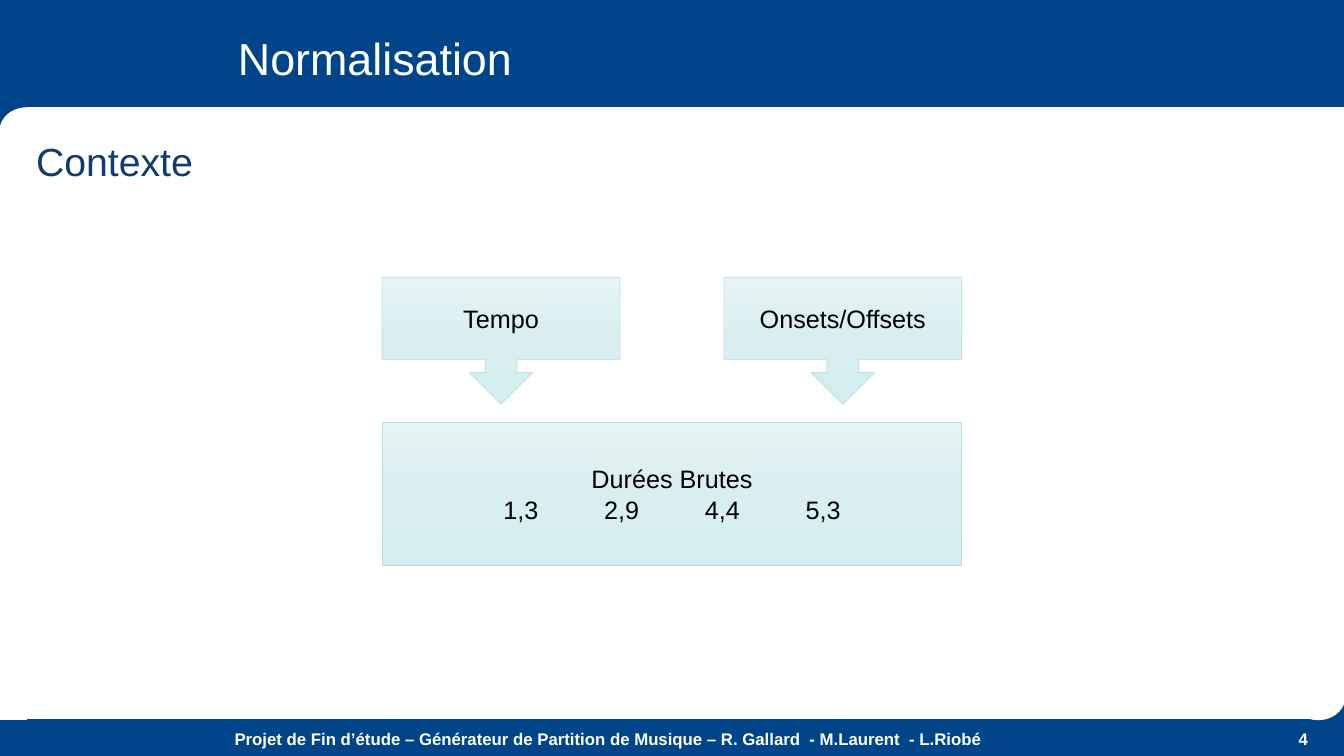
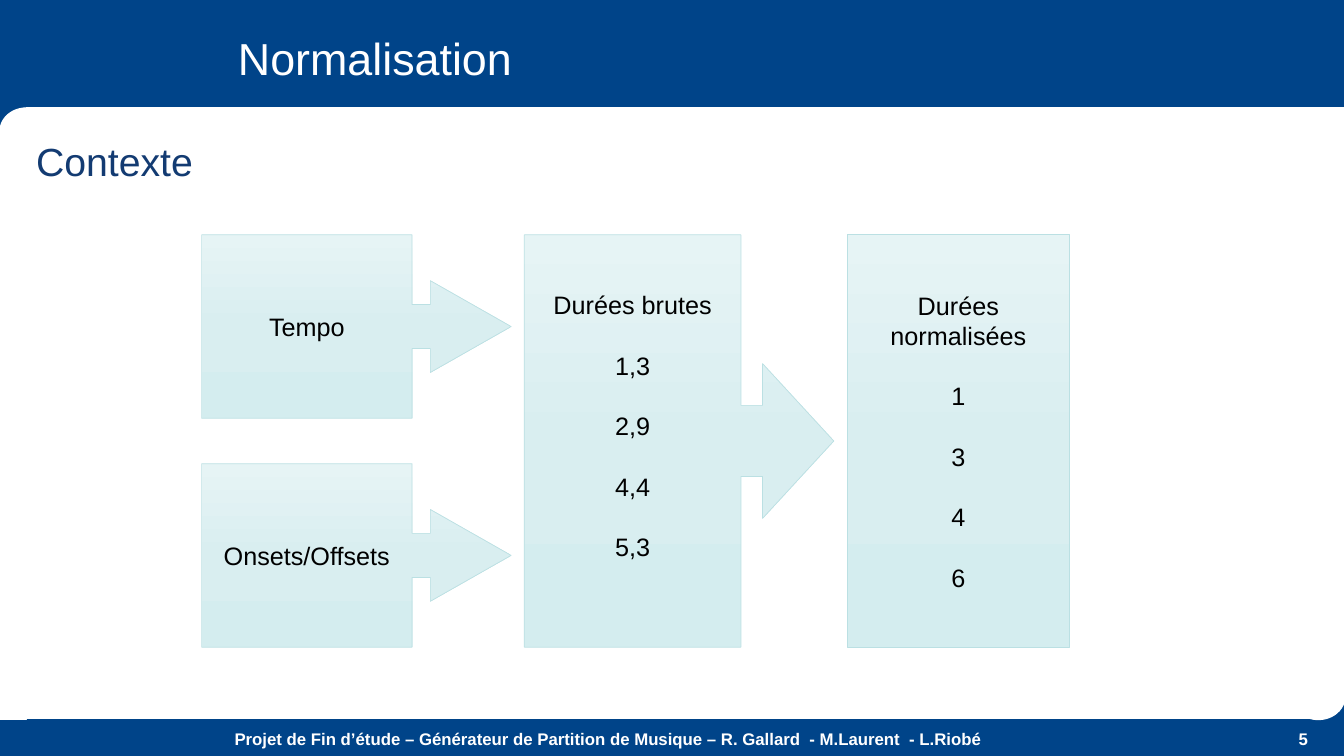
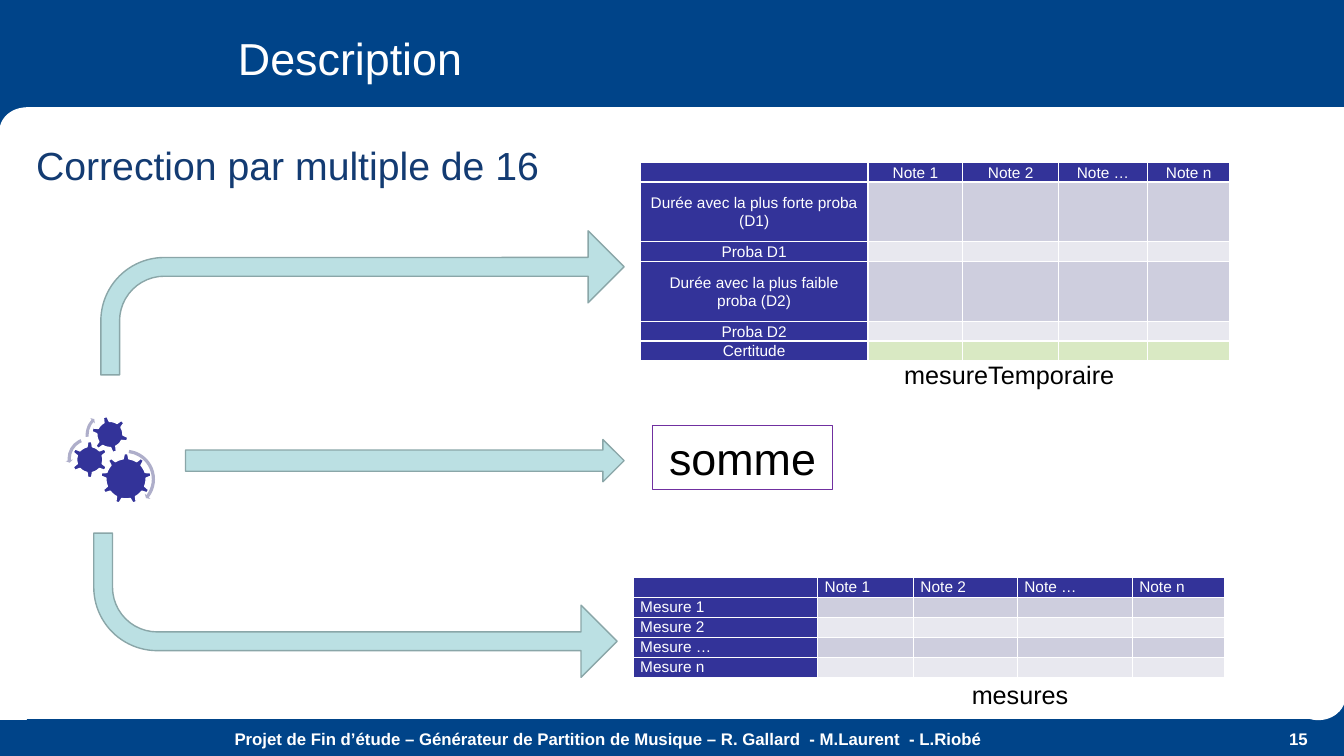
from dataclasses import dataclass
from math import cos, radians, sin

from pptx import Presentation
from pptx.dml.color import RGBColor
from pptx.enum.shapes import MSO_SHAPE
from pptx.enum.text import MSO_ANCHOR, PP_ALIGN
from pptx.oxml import parse_xml
from pptx.oxml.ns import nsdecls, qn
from pptx.util import Inches, Pt


@dataclass(frozen=True)
class Theme:
    font: str = "Arial"
    # Colours
    band: str = "004489"
    white: str = "FFFFFF"
    black: str = "000000"
    heading: str = "133B72"
    pale: str = "BBE0E3"
    arrow_edge: str = "8AA6A8"
    gradient: tuple = ((0, "E6F4F5"), (50, "D9EEF0"), (100, "D4EDEF"))
    indigo: str = "333399"
    lilac: str = "AEAECA"
    purple: str = "7030A0"
    row_dark: str = "CECEDE"
    row_light: str = "E8E8EF"
    row_green: str = "D9E9C3"
    # Type sizes
    title_size: int = 32
    heading_size: int = 28
    text_size: int = 18
    footer_size: int = 12
    table_size: int = 11


THEME = Theme()
FOOTER = ("Projet de Fin d’étude – Générateur de Partition de Musique"
          " – R. Gallard  - M.Laurent  - L.Riobé")
BLANK_LINE = Pt(21.6)
TAB_WIDTH = Inches(1)
NOTES = ["Note 1", "Note 2", "Note …", "Note n"]


# Formatting helpers
def set_all(target, formats):
    for name, value in formats.items():
        setattr(target, name, value)


def write(frame, lines, size, color, align=PP_ALIGN.LEFT, bold=False, **spacing):
    frame.word_wrap = True
    for index, line in enumerate(lines):
        para = frame.add_paragraph() if index else frame.paragraphs[0]
        para.alignment = align
        if "\t" in line:
            para._p.get_or_add_pPr().set("defTabSz", str(TAB_WIDTH))
        if index:
            set_all(para, spacing)
        span = para.add_run()
        span.text = line
        set_all(span.font, {"name": THEME.font, "size": Pt(size), "bold": bold})
        span.font.color.rgb = RGBColor.from_string(color)


def paint(shape, fill=None, line=None, width=1):
    shape.shadow.inherit = False
    for part, color in ((shape.fill, fill), (shape.line.fill, line)):
        if color:
            part.solid()
            part.fore_color.rgb = RGBColor.from_string(color)
        else:
            part.background()
    if line:
        shape.line.width = Pt(width)


def paint_gradient(shape):
    paint(shape, line=THEME.pale, width=0.5)
    stops = "".join(
        f'<a:gs pos="{place * 1000}"><a:srgbClr val="{color}"/></a:gs>'
        for place, color in THEME.gradient)
    gradient = parse_xml(
        f'<a:gradFill {nsdecls("a")} rotWithShape="1"><a:gsLst>{stops}</a:gsLst>'
        '<a:lin ang="5400000" scaled="0"/></a:gradFill>')
    properties = shape.element.spPr
    properties.replace(properties.find(qn("a:noFill")), gradient)


# Element helpers
def add_shape(slide, kind, place, adjust=()):
    shape = slide.shapes.add_shape(kind, *map(Inches, place))
    for index, value in enumerate(adjust):
        shape.adjustments[index] = value
    return shape


def add_text(slide, place, text, size=THEME.text_size, color=THEME.black, **formats):
    box = slide.shapes.add_textbox(*map(Inches, place))
    write(box.text_frame, [text], size, color, **formats)


def add_step(slide, kind, place, lines, adjust=(), **spacing):
    step = add_shape(slide, kind, place, adjust)
    paint_gradient(step)
    step.text_frame.vertical_anchor = MSO_ANCHOR.MIDDLE
    write(step.text_frame, lines, THEME.text_size, THEME.black, PP_ALIGN.CENTER,
          **spacing)
    return step


def add_arrow(slide, kind, place, adjust=(), flipped=False):
    arrow = add_shape(slide, kind, place, adjust)
    paint(arrow, THEME.pale, THEME.arrow_edge)
    if flipped:
        arrow.element.spPr.find(qn("a:xfrm")).set("flipV", "1")


def add_gear(slide, center, body, tip, teeth, turn=0):
    """Toothed wheel: each tooth is followed by an arc of the body."""
    def point(radius, angle):
        angle = radians(angle)
        return (Inches(center[0] + radius * sin(angle)),
                Inches(center[1] - radius * cos(angle)))

    pitch = 360 / teeth
    root = 0.2 * pitch
    outline = []
    for tooth in range(teeth):
        angle = turn + tooth * pitch
        outline += [point(body, angle - root), point(tip, angle - root / 2),
                    point(tip, angle + root / 2)]
        outline += [point(body, angle + root + pitch * step / 5) for step in range(3)]
    builder = slide.shapes.build_freeform(*outline[0])
    builder.add_line_segments(outline[1:], close=True)
    paint(builder.convert_to_shape(), THEME.indigo, THEME.white)


def add_borders(cell):
    properties = cell._tc.get_or_add_tcPr()
    for index, side in enumerate("LRTB"):
        properties.insert(index, parse_xml(
            f'<a:ln{side} {nsdecls("a")} w="{Pt(1)}"><a:solidFill>'
            f'<a:srgbClr val="{THEME.white}"/></a:solidFill></a:ln{side}>'))


def add_grid(slide, corner, widths, heights, labels, fills, align, anchor, inset):
    """Table with header texts in its first row and column only."""
    size = (sum(widths), sum(heights))
    table = slide.shapes.add_table(
        len(heights), len(widths), *map(Inches, corner + size)).table
    set_all(table, {"first_row": False, "horz_banding": False})
    for column, width in zip(table.columns, widths):
        column.width = Inches(width)
    for row, height in zip(table.rows, heights):
        row.height = Inches(height)
    for r in range(len(heights)):
        for c in range(len(widths)):
            cell = table.cell(r, c)
            set_all(cell, {
                "margin_left": Inches(inset), "margin_right": Inches(inset),
                "margin_top": 0, "margin_bottom": 0, "vertical_anchor": anchor})
            head = r == 0 or c == 0
            cell.fill.solid()
            cell.fill.fore_color.rgb = RGBColor.from_string(
                THEME.indigo if head else fills[r - 1])
            add_borders(cell)
            para = cell.text_frame.paragraphs[0]
            para.line_spacing = 1.07
            if head and r + c:
                label = NOTES[c - 1] if r == 0 else labels[r - 1]
                write(cell.text_frame, [label], THEME.table_size, THEME.white, align)
            else:
                para._p.get_or_add_endParaRPr().set("sz", str(THEME.table_size * 100))


# Shared slide: panel, title, heading, footer and number
def add_panel(slide):
    """White panel, rounded at its top left and bottom right corners."""
    bar, dot = MSO_SHAPE.RECTANGLE, MSO_SHAPE.OVAL
    for kind, place in (
            (bar, (0, 6.95, 13.07, 0.18)), (dot, (0, 1.07, 0.53, 0.46)),
            (dot, (12.81, 6.68, 0.53, 0.46)), (bar, (0.26, 1.07, 13.07, 0.18)),
            (bar, (0, 1.26, 0.26, 5.88)), (bar, (13.07, 1.07, 0.26, 5.88)),
            (bar, (0.26, 1.26, 12.81, 5.69))):
        paint(add_shape(slide, kind, place), THEME.white, THEME.white, 0.75)


def new_slide(deck, title, heading, number, heading_top=1.31):
    slide = deck.slides.add_slide(deck.slide_layouts[5])
    add_panel(slide)
    name = slide.shapes.title
    set_all(name, {"left": Inches(2.26), "top": Inches(0.3),
                   "width": Inches(10.41), "height": Inches(0.54)})
    name.text_frame.vertical_anchor = MSO_ANCHOR.MIDDLE
    write(name.text_frame, [title], THEME.title_size, THEME.white)
    add_text(slide, (0.26, heading_top, 12.81, 0.6), heading,
             THEME.heading_size, THEME.heading)
    for place, text, align in (((0.26, 7.18, 11.55, 0.3), FOOTER, PP_ALIGN.CENTER),
                               ((11.81, 7.18, 1.26, 0.3), number, PP_ALIGN.RIGHT)):
        add_text(slide, place, text, THEME.footer_size, THEME.white,
                 align=align, bold=True)
    return slide


# Slides
def add_raw_durations(deck):
    slide = new_slide(deck, "Normalisation", "Contexte", "4")
    for left, text in ((3.79, "Tempo"), (7.18, "Onsets/Offsets")):
        add_step(slide, MSO_SHAPE.DOWN_ARROW_CALLOUT, (left, 2.75, 2.36, 1.26), [text])
    add_step(slide, MSO_SHAPE.RECTANGLE, (3.79, 4.19, 5.75, 1.42),
             ["Durées Brutes", "1,3\t2,9\t4,4\t5,3"])


def add_normalised_durations(deck):
    slide = new_slide(deck, "Normalisation", "Contexte", "5")
    callout = MSO_SHAPE.RIGHT_ARROW_CALLOUT
    for top, text in ((2.33, "Tempo"), (4.6, "Onsets/Offsets")):
        add_step(slide, callout, (2, top, 3.07, 1.82), [text],
                 (0.24, 0.25, 0.44, 0.68))
    raw = add_step(slide, callout, (5.2, 2.33, 3.07, 4.09),
                   ["Durées brutes", "1,3", "2,9", "4,4", "5,3"],
                   (0.23, 0.25, 0.23, 0.7), space_before=BLANK_LINE)
    raw.text_frame.margin_bottom = Inches(0.35)
    add_step(slide, MSO_SHAPE.RECTANGLE, (8.4, 2.33, 2.21, 4.09),
             ["Durées normalisées", "1", "3", "4", "6"], space_before=BLANK_LINE)


def add_gears(slide):
    add_gear(slide, (1.25, 4.75), 0.2, 0.25, 9)
    add_gear(slide, (0.89, 4.56), 0.13, 0.18, 6)
    add_gear(slide, (1.09, 4.31), 0.13, 0.18, 6, turn=-15)
    turns = (
        (MSO_SHAPE.CIRCULAR_ARROW, (0.93, 4.44, 0.63, 0.63),
         (0.05, 2.99, 22.58, 166.22, 0.06)),
        (MSO_SHAPE.LEFT_CIRCULAR_ARROW, (0.65, 4.32, 0.46, 0.46),
         (0.07, 4.3, 104.89, 148.38, 0.08)),
        (MSO_SHAPE.CIRCULAR_ARROW, (0.83, 4.07, 0.49, 0.49),
         (0.06, 3.94, 133.14, 105.08, 0.07)),
    )
    for kind, place, adjust in turns:
        paint(add_shape(slide, kind, place, adjust), THEME.lilac)


def add_description(deck):
    slide = new_slide(deck, "Description", "Correction par multiple de 16", "15", 1.35)
    stripes = [THEME.row_dark, THEME.row_light] * 2
    add_grid(slide, (6.35, 1.61), (2.26, 0.94, 0.95, 0.88, 0.82),
             (0.19, 0.59, 0.2, 0.59, 0.19, 0.2),
             ["Durée avec la plus forte proba (D1)", "Proba D1",
              "Durée avec la plus faible proba (D2)", "Proba D2", "Certitude"],
             stripes + [THEME.row_green], PP_ALIGN.CENTER, MSO_ANCHOR.MIDDLE, 0.08)
    add_grid(slide, (6.28, 5.73), (1.83, 0.95, 1.03, 1.14, 0.92),
             (0.2, 0.19, 0.2, 0.19, 0.2),
             ["Mesure 1", "Mesure 2", "Mesure …", "Mesure n"],
             stripes, PP_ALIGN.LEFT, MSO_ANCHOR.TOP, 0.07)
    add_text(slide, (8.87, 3.52, 2.6, 0.4), "mesureTemporaire")
    add_text(slide, (9.54, 6.69, 2.6, 0.4), "mesures")
    add_gears(slide)

    # Arrows from the gears to the three results
    bend = (0.13, 0.25, 0.25, 0.44)
    add_arrow(slide, MSO_SHAPE.BENT_ARROW, (1, 2.29, 5.19, 1.43), bend)
    add_arrow(slide, MSO_SHAPE.RIGHT_ARROW, (1.84, 4.36, 4.35, 0.42))
    add_arrow(slide, MSO_SHAPE.BENT_ARROW, (0.93, 5.29, 5.19, 1.43), bend, flipped=True)

    total = add_shape(slide, MSO_SHAPE.RECTANGLE, (6.47, 4.22, 1.79, 0.64))
    paint(total, line=THEME.purple, width=0.75)
    write(total.text_frame, ["somme"], THEME.title_size, THEME.black, PP_ALIGN.CENTER)


def main():
    deck = Presentation()
    set_all(deck, {"slide_width": Inches(13.33), "slide_height": Inches(7.5)})
    background = deck.slide_master.background.fill
    background.solid()
    background.fore_color.rgb = RGBColor.from_string(THEME.band)
    add_raw_durations(deck)
    add_normalised_durations(deck)
    add_description(deck)
    deck.save("out.pptx")


if __name__ == "__main__":
    main()
